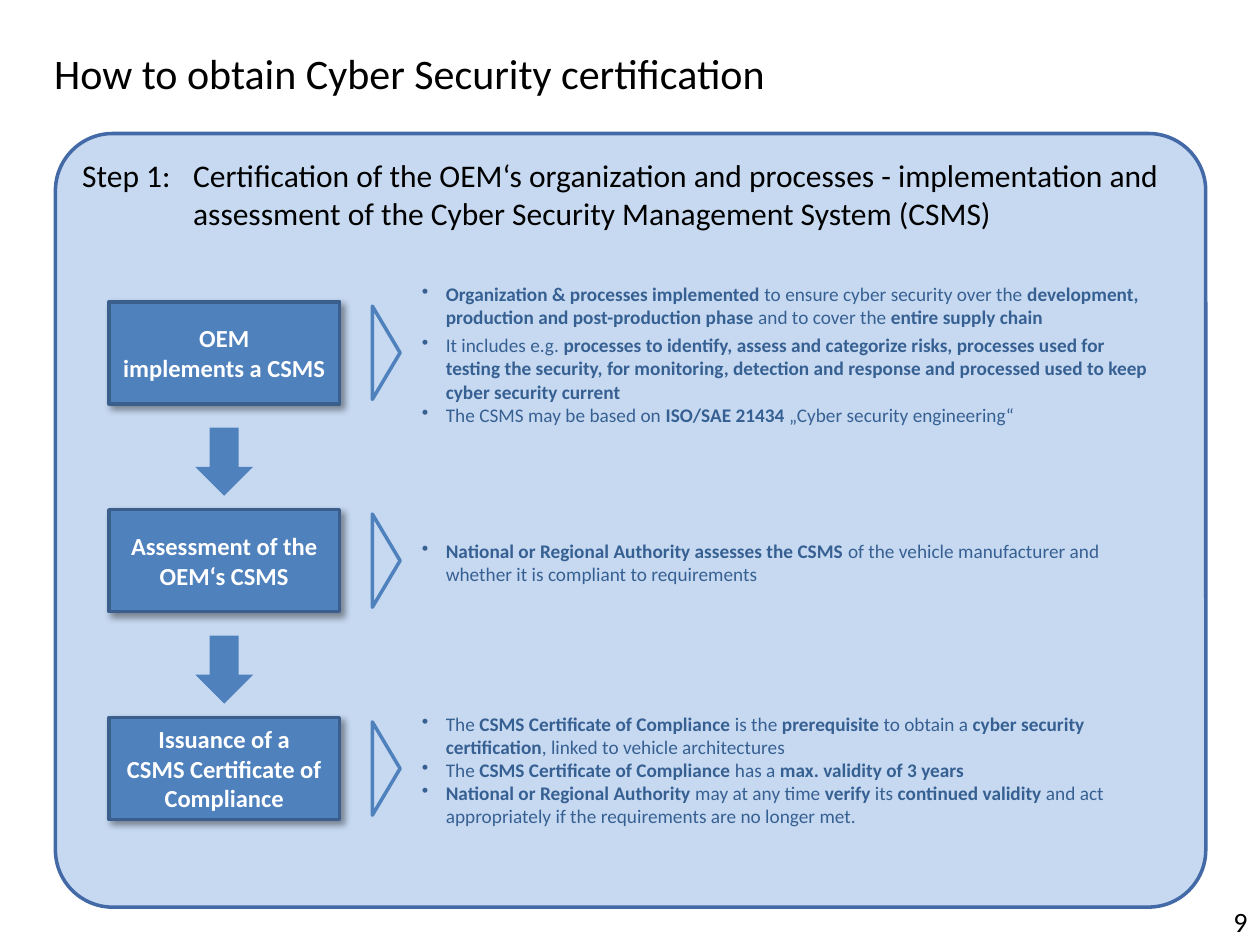
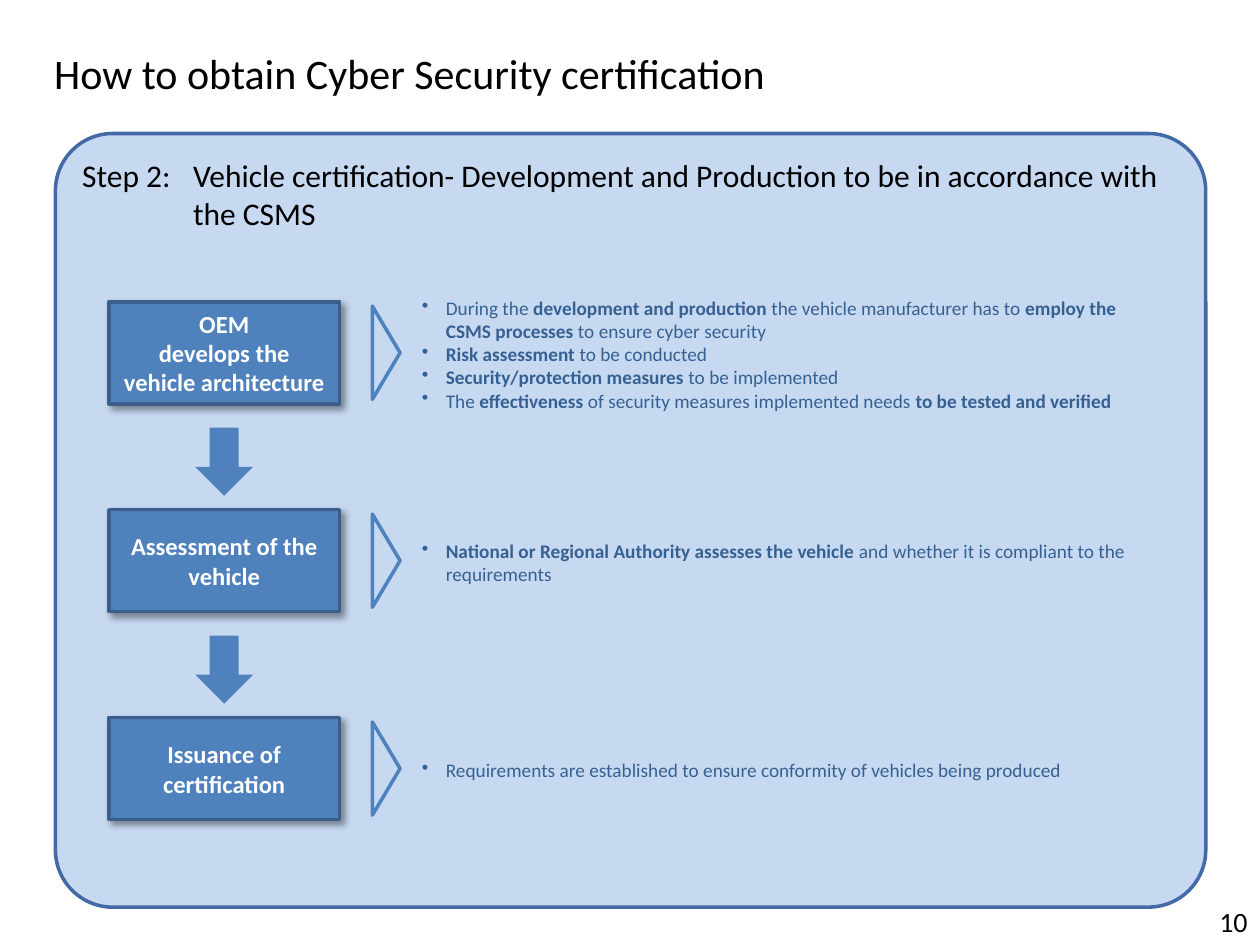
import lxml.etree
import pptx
import pptx.dml.color
import pptx.enum.shapes
import pptx.enum.text
import pptx.oxml.ns
import pptx.util

SHAPE = pptx.enum.shapes.MSO_SHAPE
ALIGN = pptx.enum.text.PP_ALIGN
ANCHOR = pptx.enum.text.MSO_ANCHOR
COLUMNS, ROWS = 100, 75
FIRST_PAGE_NUMBER = 9
FIRST_STAGE_ROW, STAGE_PITCH = 28, 16.5
STAGE_CENTRE = 17.8

TITLE = "How to obtain Cyber Security certification"
# Each page has a heading and stages; a stage has a label and its bullets, with **bold** words.
PAGES = [
    ("Step 1: \tCertification of the OEM‘s organization and processes - implementation "
     "and assessment of the Cyber Security Management System (CSMS)", [
         ("OEM\nimplements a CSMS", [
             "**Organization & processes implemented **to ensure cyber security over the "
             "**development, production and post-production phase **and to cover the "
             "**entire supply chain**",
             "It includes e.g.** processes to identify, assess and categorize risks, processes "
             "used for testing the security, for monitoring, detection and response and "
             "processed used to keep cyber security current**",
             "The CSMS may be based on **ISO/SAE 21434 **„Cyber security engineering“"]),
         ("Assessment of the OEM‘s CSMS", [
             "**National or Regional Authority assesses the CSMS **of the vehicle manufacturer "
             "and whether it is compliant to requirements"]),
         ("Issuance of a\nCSMS Certificate of Compliance", [
             "The **CSMS Certificate of Compliance **is the **prerequisite **to obtain a "
             "**cyber security certification**, linked to vehicle architectures",
             "The **CSMS Certificate of Compliance **has a **max. validity of 3 years**",
             "**National or Regional Authority **may at any time **verify **its "
             "**continued validity **and act appropriately if the requirements are no longer "
             "met."])]),
    ("Step 2: \tVehicle certification- Development and Production to be in accordance with "
     "the CSMS", [
         ("OEM\ndevelops the vehicle architecture", [
             "During the **development and production **the vehicle manufacturer has to "
             "**employ the CSMS processes **to ensure cyber security",
             "**Risk assessment **to be conducted",
             "**Security/protection measures **to be implemented",
             "The** effectiveness **of security measures implemented needs"
             "** to be tested and verified**"]),
         ("Assessment of the vehicle", [
             "**National or Regional Authority assesses the vehicle** and whether it is "
             "compliant to the requirements"]),
         ("Issuance of certification", [
             "Requirements are established to ensure conformity of vehicles being produced"])]),
]


def colour(code):
    return pptx.dml.color.RGBColor.from_string(code)


def set_indent(para, inches):
    """Give the paragraph a hanging indent and return its properties."""
    properties = para._p.get_or_add_pPr()
    width = pptx.util.Inches(inches)
    properties.set("marL", str(width))
    properties.set("indent", str(-width))
    return properties


def add_child(parent, tag, **attributes):
    child = lxml.etree.SubElement(parent, pptx.oxml.ns.qn(tag))
    for name, value in attributes.items():
        child.set(name, str(value))
    return child


class Painter:
    """Holds the style and the current page; lengths are grid columns and rows."""
    font = "Calibri"
    black, white = "000000", "FFFFFF"
    panel_fill, panel_line = "C6D9F1", "4369A7"
    accent, accent_line, detail = "4F81BD", "3A5F8C", "376092"

    def __init__(self, deck):
        self.deck = deck
        self.page = None

    def place(self, left, top, width, height):
        across = self.deck.slide_width / COLUMNS
        down = self.deck.slide_height / ROWS
        return [round(n) for n in (left * across, top * down, width * across, height * down)]

    def style(self, para, size, code, bold=None, align=ALIGN.LEFT):
        para.alignment = align
        para.font.name = self.font
        para.font.size = pptx.util.Pt(size)
        para.font.bold = bold
        para.font.color.rgb = colour(code)

    def start_page(self, title):
        self.page = self.deck.slides.add_slide(self.deck.slide_layouts[5])
        box = self.page.shapes.title
        box.left, box.top, box.width, box.height = self.place(3.3, 3.3, 91.7, 5)
        box.text_frame.text = title
        box.text_frame.vertical_anchor = ANCHOR.TOP
        self.style(box.text_frame.paragraphs[0], 24, self.black)

    def text_box(self, left, top, width, height, anchor=ANCHOR.TOP):
        box = self.page.shapes.add_textbox(*self.place(left, top, width, height))
        box.text_frame.word_wrap = True
        box.text_frame.vertical_anchor = anchor
        return box.text_frame

    def shape(self, kind, left, top, width, height, fill=None, line=None):
        item = self.page.shapes.add_shape(kind, *self.place(left, top, width, height))
        item.shadow.inherit = False
        if fill:
            item.fill.solid()
            item.fill.fore_color.rgb = colour(fill)
        else:
            item.fill.background()
        if line:
            item.line.color.rgb = colour(line)
            item.line.width = pptx.util.Pt(2)
        else:
            item.line.fill.background()
        return item

    def panel(self, heading):
        panel = self.shape(SHAPE.ROUNDED_RECTANGLE, 4.4, 10.6, 91.3, 61.4,
                           self.panel_fill, self.panel_line)
        panel.adjustments[0] = 0.074
        frame = panel.text_frame
        frame.margin_left, frame.margin_right = pptx.util.Inches(0.08), 0
        frame.vertical_anchor = ANCHOR.TOP
        para = frame.paragraphs[0]
        para.text = heading
        set_indent(para, 0.88)
        self.style(para, 18, self.black)

    def label(self, text, middle):
        box = self.shape(SHAPE.RECTANGLE, STAGE_CENTRE - 9.15, middle - 4.05, 18.3, 8.1,
                         self.accent, self.accent_line)
        effects = box._element.spPr.find(pptx.oxml.ns.qn("a:effectLst"))
        shadow = add_child(effects, "a:outerShdw", blurRad=pptx.util.Pt(4),
                           dist=pptx.util.Pt(3), dir=45 * 60000, algn="tl", rotWithShape=0)
        add_child(add_child(shadow, "a:srgbClr", val=self.black), "a:alpha", val=40000)
        box.text_frame.vertical_anchor = ANCHOR.MIDDLE
        para = box.text_frame.paragraphs[0]
        para.text = text
        self.style(para, 14, self.white, bold=True, align=ALIGN.CENTER)

    def pointer(self, middle):
        self.shape(SHAPE.ISOSCELES_TRIANGLE, 26.95, middle - 1.1, 7.4, 2.2,
                   line=self.accent).rotation = 90

    def down_arrow(self, middle):
        self.shape(SHAPE.DOWN_ARROW, STAGE_CENTRE - 2.3, middle - 2.7, 4.6, 5.4, self.accent)

    def bullets(self, items, middle, gap_after_first):
        frame = self.text_box(32.5, middle - 6.25, 59.7, 12.5, ANCHOR.MIDDLE)
        for index, item in enumerate(items):
            para = frame.paragraphs[0] if index == 0 else frame.add_paragraph()
            add_child(set_indent(para, 0.19), "a:buChar", char="•")
            self.style(para, 11, self.detail)
            for part, words in enumerate(item.split("**")):
                if words:
                    span = para.add_run()
                    span.text = words
                    span.font.bold = part % 2 == 1
        frame.paragraphs[0].space_after = pptx.util.Pt(gap_after_first)

    def page_number(self, number):
        para = self.text_box(83.3, 71.3, 16.7, 3.7).paragraphs[0]
        para.text = str(number)
        self.style(para, 16, self.black, align=ALIGN.RIGHT)


def main():
    deck = pptx.Presentation()
    deck.slide_width = pptx.util.Inches(10)
    deck.slide_height = pptx.util.Inches(7.5)
    painter = Painter(deck)
    for number, (heading, stages) in enumerate(PAGES, FIRST_PAGE_NUMBER):
        painter.start_page(TITLE)
        painter.panel(heading)
        for index, (label, items) in enumerate(stages):
            middle = FIRST_STAGE_ROW + index * STAGE_PITCH
            if index:
                painter.down_arrow(middle - STAGE_PITCH / 2 + 0.4)
            painter.label(label, middle)
            painter.pointer(middle)
            long_first_item = len(items[0]) > 150
            painter.bullets(items, middle + 0.1, 3 if long_first_item else 0)
        painter.page_number(number)
    deck.save("out.pptx")


if __name__ == "__main__":
    main()
